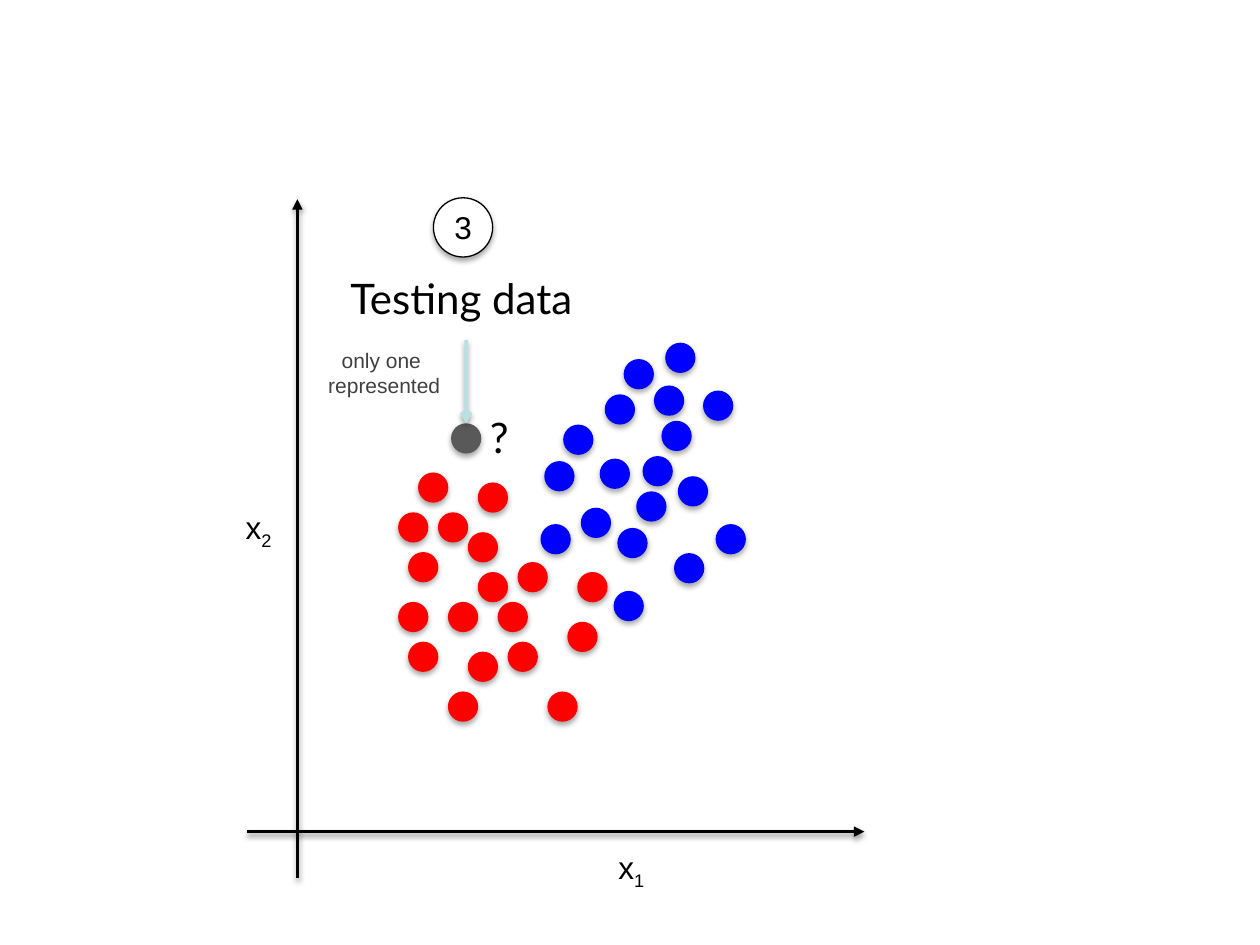
from lxml.etree import SubElement as Sub
from pptx import Presentation
from pptx.dml.color import RGBColor as RGB
from pptx.enum.shapes import MSO_CONNECTOR as Line, MSO_SHAPE as Shape
from pptx.enum.text import MSO_ANCHOR as Anchor, MSO_AUTO_SIZE as Fit, PP_ALIGN as Align
from pptx.oxml.ns import qn
from pptx.util import Inches, Pt

HUE = {"ink": "000000", "note": "404040", "red": "FF0000", "blue": "0000FF",
       "grey": "595959", "pale": "BBE0E3", "paper": "FFFFFF"}
FONT = {
    "head": {"name": "Lato", "size": Pt(24), "bold": False},
    "axis": {"name": "Arial", "size": Pt(18)},
    "note": {"name": "Arial", "size": Pt(12)},
}
DOT = 2.4    # dot width, in grid units of a tenth of an inch
STEP = 0.79  # pitch of the lattice that holds the red dots
START = (31.6, 37.5)

# lattice row: columns of the red dots in it
RED = {0: [2], 1: [8], 4: [0, 4], 6: [7], 8: [1], 9: [12], 10: [8, 18],
       13: [0, 5, 10], 15: [17], 17: [1, 11], 18: [7], 22: [5, 15]}
# left and top of the blue dots, in grid units
BLUE = [(52.8, 27.2), (48, 31.3), (49.5, 28.5), (55.8, 31), (47.6, 36.4),
        (52.5, 33.4), (53.8, 37.8), (49, 41.9), (50.5, 39), (56.8, 41.6),
        (48.7, 46.9), (53.5, 43.9), (51.9, 30.6), (43.2, 36.6), (44.7, 33.7),
        (51, 36.2), (42.9, 41.6), (46.1, 40.3)]


def grid(*units):
    return [Inches(unit / 10) for unit in units]


def hue(key):
    return RGB.from_string(HUE[key])


def shade(shape, alpha, dist):
    """Give the shape a soft shadow straight below it."""
    props = shape._element.spPr
    box = props.find(qn("a:effectLst"))
    if box is None:
        box = Sub(props, qn("a:effectLst"))
    cast = Sub(box, qn("a:outerShdw"), blurRad="40000", dist=str(dist),
               dir="5400000", rotWithShape="0")
    tint = Sub(cast, qn("a:srgbClr"), val=HUE["ink"])
    Sub(tint, qn("a:alpha"), val=str(alpha * 1000))


def disc(shapes, left, top, fill, size=DOT, edge=None):
    shape = shapes.add_shape(Shape.OVAL, *grid(left, top, size, size))
    shape.fill.solid()
    shape.fill.fore_color.rgb = hue(fill)
    if edge:
        shape.line.color.rgb = hue(edge)
        shape.line.width = Pt(0.75)
    else:
        shape.line.fill.background()
    shape.shadow.inherit = False
    shade(shape, 35, 23000)
    return shape


def arrow(shapes, start, end, color, head, goal=None):
    line = shapes.add_connector(Line.STRAIGHT, *grid(*start, *end))
    if goal is not None:
        line.end_connect(goal, 0)
    line.line.color.rgb = hue(color)
    line.line.width = Pt(2)
    Sub(line.line._ln, qn("a:tailEnd"), type=head)
    shade(line, 38, 20000)


def write(para, text, kind, color="ink", low=""):
    """Fill a paragraph, with an optional subscript at its end."""
    for part in filter(None, (text, low)):
        run = para.add_run()
        run.text = part
        for key, value in FONT[kind].items():
            setattr(run.font, key, value)
        run.font.color.rgb = hue(color)
        if part is low:
            run._r.get_or_add_rPr().set("baseline", "-25000")


def label(shapes, area, lines, kind, color="ink", low="", align=Align.LEFT):
    frame = shapes.add_textbox(*grid(*area)).text_frame
    frame.auto_size = Fit.SHAPE_TO_FIT_TEXT
    for num, text in enumerate(lines):
        para = frame.add_paragraph() if num else frame.paragraphs[0]
        para.alignment = align
        write(para, text, kind, color, low)


def title(slide, area, text):
    shape = slide.shapes.title
    shape.left, shape.top, shape.width, shape.height = grid(*area)
    frame = shape.text_frame
    form = {"word_wrap": False, "auto_size": Fit.NONE,
            "vertical_anchor": Anchor.TOP}
    for key, value in form.items():
        setattr(frame, key, value)
    para = frame.paragraphs[0]
    para.alignment = Align.LEFT
    write(para, text, "head")


def badge(shapes, left, top, text):
    frame = disc(shapes, left, top, "paper", 4.7, "ink").text_frame
    frame.vertical_anchor = Anchor.MIDDLE
    para = frame.paragraphs[0]
    para.alignment = Align.CENTER
    write(para, text, "axis")


def main():
    deck = Presentation()
    deck.slide_width, deck.slide_height = grid(100, 75)
    slide = deck.slides.add_slide(deck.slide_layouts[5])
    shapes = slide.shapes
    title(slide, (26.8, 21.1, 20.3, 5), "Testing data")

    for row, cols in RED.items():
        for col in cols:
            disc(shapes, START[0] + col * STEP, START[1] + row * STEP, "red")
    cloud = shapes.add_group_shape()
    for left, top in BLUE:
        disc(cloud.shapes, left, top, "blue")
    test = disc(shapes, 35.8, 33.6, "grey")

    arrow(shapes, (37, 27), (37, 33.6), "pale", "arrow", test)
    arrow(shapes, (19.6, 66), (68.6, 66), "ink", "triangle")
    arrow(shapes, (23.6, 69.7), (23.6, 15.8), "ink", "triangle")
    label(shapes, (48.1, 66.8, 4.2, 4), ["x"], "axis", low="1")
    label(shapes, (18.5, 39.8, 4.2, 4), ["x"], "axis", low="2")

    badge(shapes, 34.4, 15.7, "3")
    label(shapes, (37.9, 32.2, 3.3, 5), ["?"], "head")
    label(shapes, (25, 27.1, 11, 5), ["only one ", "represented"], "note",
          "note", align=Align.CENTER)
    deck.save("out.pptx")


if __name__ == "__main__":
    main()
